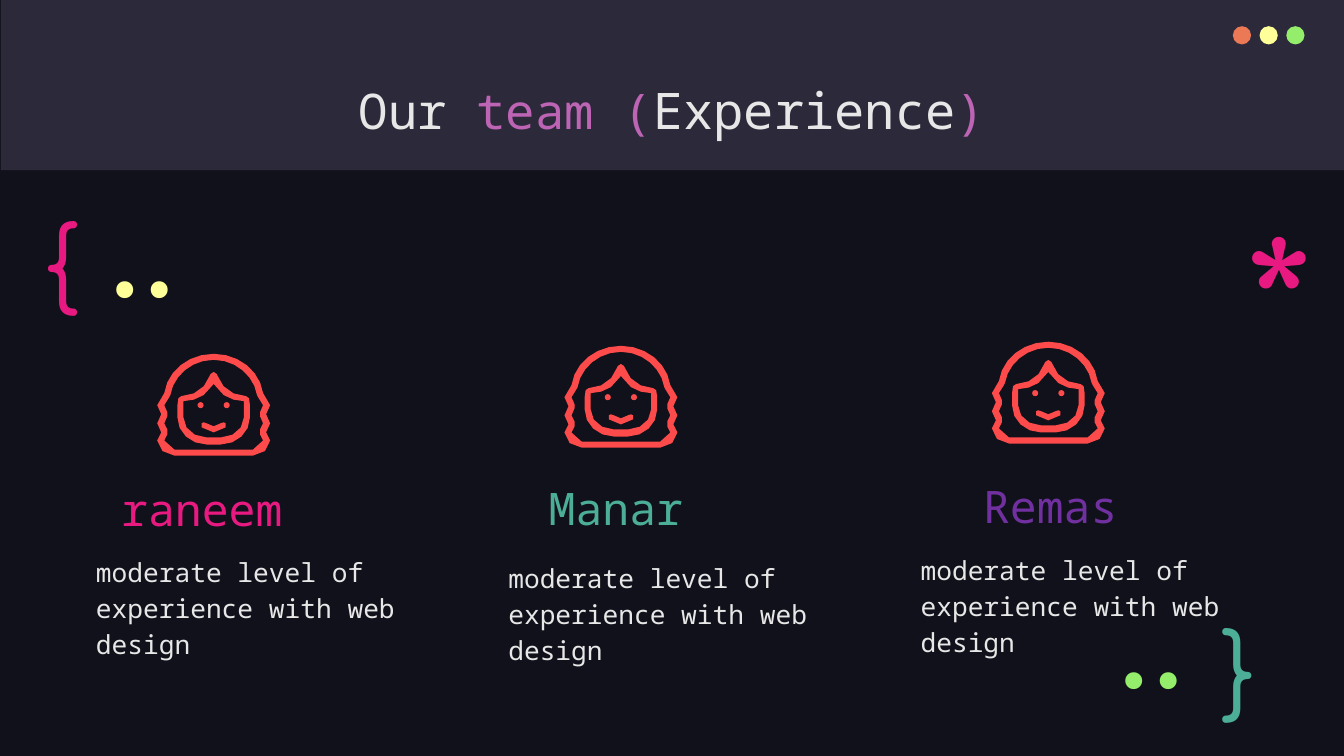
from dataclasses import dataclass
from math import dist

from pptx import Presentation
from pptx.dml.color import RGBColor
from pptx.enum.shapes import MSO_SHAPE as Preset
from pptx.enum.text import MSO_ANCHOR as Anchor, MSO_AUTO_SIZE as AutoSize, PP_ALIGN as Align
from pptx.util import Pt

NIGHT = RGBColor(0x10, 0x11, 0x1A)
BAND = RGBColor(0x2C, 0x29, 0x3A)
ORANGE = RGBColor(0xEC, 0x79, 0x55)
YELLOW = RGBColor(0xFF, 0xFF, 0x99)
GREEN = RGBColor(0x94, 0xEE, 0x6B)
TEAL = RGBColor(0x4C, 0xAE, 0x97)
PINK = RGBColor(0xE8, 0x1A, 0x81)
MAUVE = RGBColor(0xBD, 0x64, 0xB5)
PURPLE = RGBColor(0x70, 0x30, 0xA0)
CORAL = RGBColor(0xFD, 0x4A, 0x4A)
PALE = RGBColor(0xE7, 0xE7, 0xE7)

MONO, ROUND, CODE = "Noto Sans Mono", "Comfortaa", "Fira Code"
INSET = 9.6
ICON_UNIT = 0.72
ICON_MIDDLE = 56
STEP_LENGTH = 10

# Right halves of the icon outlines, from the axis at the top to the bottom:
# a start point, then cubic curves (six numbers) or straight lines (two).
HAIR = [
    [(0, 0), (25, 0, 46, 17, 49, 39), (53, 42, 56, 46, 56, 51), (56, 54, 54, 58, 52, 60),
     (54, 63, 56, 66, 56, 69), (56, 72, 55, 75, 52, 78), (54, 80, 56, 83, 56, 86),
     (56, 94, 48, 101, 39, 101)],
    [(0, 6), (22, 6, 40, 22, 43, 41), (44, 43), (47, 45, 49, 48, 49, 51),
     (49, 53, 48, 56, 46, 58), (46, 62), (48, 64, 49, 66, 49, 69),
     (49, 71, 48, 74, 46, 75), (46, 80), (48, 82, 49, 84, 49, 86),
     (49, 91, 45, 95, 39, 95)],
]
FACE = [
    [(0, 18), (2, 18, 3, 19, 3, 20), (4, 22), (7, 33, 19, 42, 32, 42), (34, 42, 35, 43, 35, 44),
     (36, 51), (36, 63), (36, 78, 23, 90, 7, 90)],
    [(0, 30), (2, 34, 6, 38, 10, 41), (16, 45, 23, 47, 30, 47), (30, 63),
     (30, 74, 20, 83, 7, 83)],
]
SMILE = [
    [(0, 72), (3, 72, 6, 71, 7, 69), (10, 68), (12, 69), (12, 73), (9, 76, 4, 78, 0, 78)],
]


@dataclass
class Member:
    """One person of the team, with the corners of icon, name and description."""
    name: str
    color: RGBColor
    icon: tuple[float, float]
    name_at: tuple[float, float]
    text_at: tuple[float, float]


@dataclass
class Symbol:
    """A large decorative piece of code."""
    text: str
    font: str
    size: float
    color: RGBColor
    at: tuple[float, float, float, float]


MEMBERS = [
    Member("raneem", PINK, (112.3, 252.7), (77, 331.9), (59, 384.5)),
    Member("Manar", TEAL, (403.2, 247), (382.3, 331.2), (353.5, 388.8)),
    Member("Remas", PURPLE, (708.5, 244.1), (692.6, 329.8), (648, 383)),
]
SYMBOLS = [
    Symbol("*", ROUND, 128, PINK, (879.1, 131.8, 54.7, 82.8)),
    Symbol("{", ROUND, 66.7, PINK, (21.6, 133.9, 74.2, 91.4)),
    Symbol("}", ROUND, 66.7, TEAL, (862.6, 424.8, 54.7, 79.9)),
    Symbol("..", CODE, 66.7, GREEN, (771.1, 436.3, 102.2, 57.6)),
    Symbol("..", CODE, 66.7, YELLOW, (50.4, 157, 102.2, 57.6)),
]


def paint(shape, color: RGBColor):
    """Give a shape a plain fill, without line or shadow."""
    shape.shadow.inherit = False
    shape.fill.solid()
    shape.fill.fore_color.rgb = color
    shape.line.fill.background()
    return shape


def add_preset(shapes, kind, left: float, top: float, width: float, height: float,
               color: RGBColor):
    """Draw a filled preset shape."""
    return paint(shapes.add_shape(kind, Pt(left), Pt(top), Pt(width), Pt(height)), color)


def set_frame(box, anchor) -> None:
    """Set wrapping, margins and anchor of a text shape."""
    frame = box.text_frame
    frame.word_wrap = True
    frame.auto_size = AutoSize.NONE
    frame.vertical_anchor = anchor
    frame.margin_left = frame.margin_right = Pt(INSET)
    frame.margin_top = frame.margin_bottom = Pt(INSET)


def add_span(para, text: str, font: str, size: float, color: RGBColor) -> None:
    """Append one formatted run."""
    span = para.add_run()
    span.text = text
    span.font.name = font
    span.font.size = Pt(size)
    span.font.color.rgb = color


def add_text(slide, at: tuple, text: str, font: str, size: float, color: RGBColor,
             anchor=Anchor.TOP, align=Align.LEFT, spacing: float = 1.0) -> None:
    """Add a text box with one paragraph."""
    box = slide.shapes.add_textbox(*(Pt(length) for length in at))
    set_frame(box, anchor)
    para = box.text_frame.paragraphs[0]
    para.alignment = align
    para.line_spacing = spacing
    add_span(para, text, font, size, color)


def mirrored_outline(half: list[tuple]) -> list[tuple[float, float]]:
    """Turn a half outline into points and close it with its mirror image."""
    points = [half[0]]
    for segment in half[1:]:
        if len(segment) == 2:
            points.append(segment)
            continue
        x0, y0 = points[-1]
        x1, y1, x2, y2, x3, y3 = segment
        steps = max(1, round(dist((x0, y0), (x3, y3)) / STEP_LENGTH))
        for step in range(1, steps + 1):
            t = step / steps
            a, b, c, d = (1 - t) ** 3, 3 * t * (1 - t) ** 2, 3 * t * t * (1 - t), t ** 3
            points.append((a * x0 + b * x1 + c * x2 + d * x3, a * y0 + b * y1 + c * y2 + d * y3))
    return points + [(-x, y) for x, y in reversed(points) if x]


def add_icon(slide, left: float, top: float) -> None:
    """Draw the icon of a woman as one group."""
    shapes = slide.shapes.add_group_shape().shapes
    middle = left + ICON_MIDDLE * ICON_UNIT
    for part in (SMILE, HAIR, FACE):
        outlines = [[(Pt(middle + x * ICON_UNIT), Pt(top + y * ICON_UNIT)) for x, y in
                     mirrored_outline(half)] for half in part]
        builder = shapes.build_freeform(*outlines[0][0])
        builder.add_line_segments(outlines[0][1:])
        for outline in outlines[1:]:
            builder.move_to(*outline[0])
            builder.add_line_segments(outline[1:])
        paint(builder.convert_to_shape(), CORAL)
    eye = 6 * ICON_UNIT
    for offset in (-13, 13):
        add_preset(shapes, Preset.OVAL, middle + offset * ICON_UNIT - eye / 2,
                   top + 48 * ICON_UNIT, eye, eye, CORAL)


def add_header(slide) -> None:
    """Draw the band with its three dots and fill the title."""
    title = slide.shapes.title
    band = add_preset(slide.shapes, Preset.RECTANGLE, 0.72, 0, 959.28, 121.5, BAND)
    title.element.addprevious(band.element)
    for index, color in enumerate((ORANGE, YELLOW, GREEN)):
        add_preset(slide.shapes, Preset.OVAL, 880.6 + 19.1 * index, 18.7, 13, 13, color)
    title.left, title.top, title.width, title.height = Pt(75.6), Pt(46.8), Pt(808.6), Pt(60.5)
    set_frame(title, Anchor.TOP)
    para = title.text_frame.paragraphs[0]
    para.alignment = Align.CENTER
    for text, size, color in (("Our ", 35, PALE), ("team (", 35, MAUVE),
                              ("Experience", 36, PALE), (")", 35, MAUVE)):
        add_span(para, text, MONO, size, color)


def build() -> None:
    """Build and save the deck."""
    deck = Presentation()
    deck.slide_width, deck.slide_height = Pt(960), Pt(540)
    page = deck.slides.add_slide(deck.slide_layouts.get_by_name("Title Only"))
    page.background.fill.solid()
    page.background.fill.fore_color.rgb = NIGHT
    add_header(page)
    for symbol in SYMBOLS:
        dots = symbol.font == CODE
        add_text(page, symbol.at, symbol.text, symbol.font, symbol.size, symbol.color,
                 Anchor.MIDDLE if dots else Anchor.TOP, Align.RIGHT if dots else Align.LEFT)
    for member in MEMBERS:
        add_icon(page, *member.icon)
        add_text(page, (*member.name_at, 280.8, 60.5), member.name, MONO, 32, member.color,
                 Anchor.BOTTOM, spacing=1.15)
        add_text(page, (*member.text_at, 280.8, 60.5),
                 "moderate level of experience with web design", MONO, 18.7, PALE, spacing=1.15)
    deck.save("out.pptx")


build()
